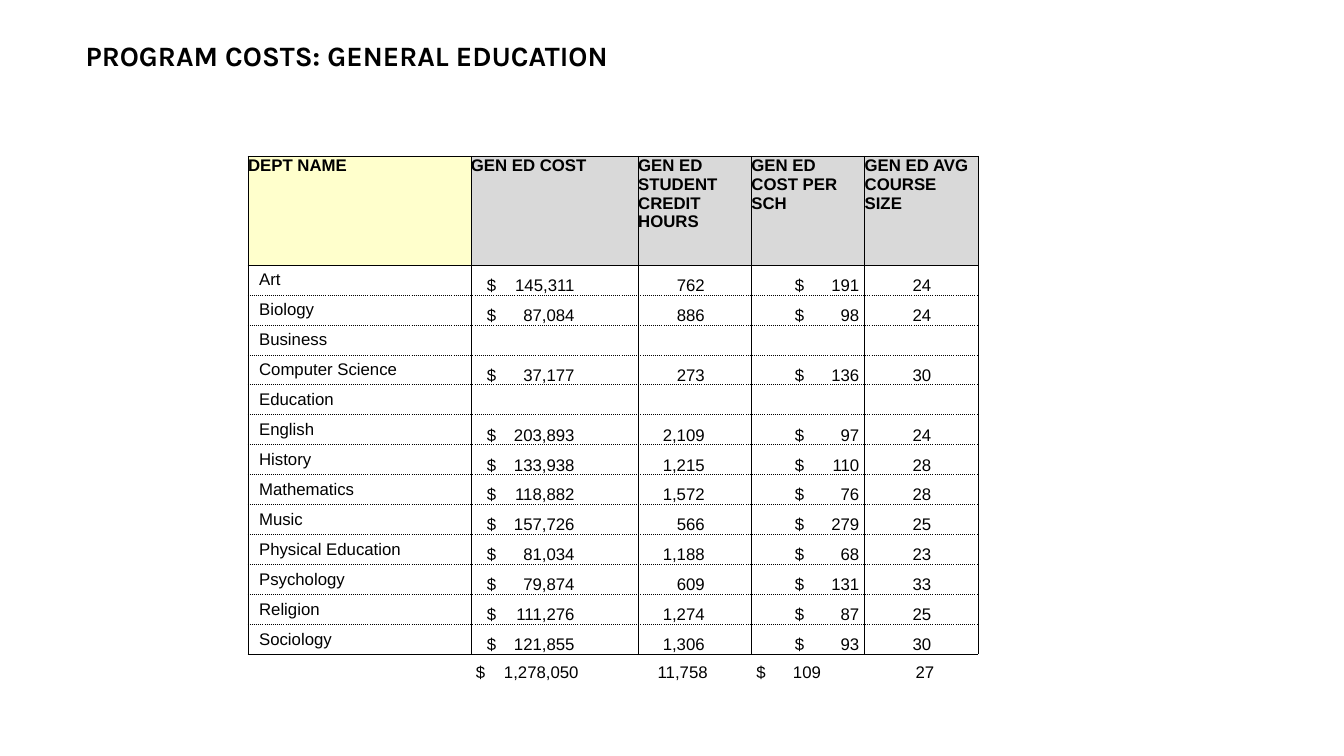
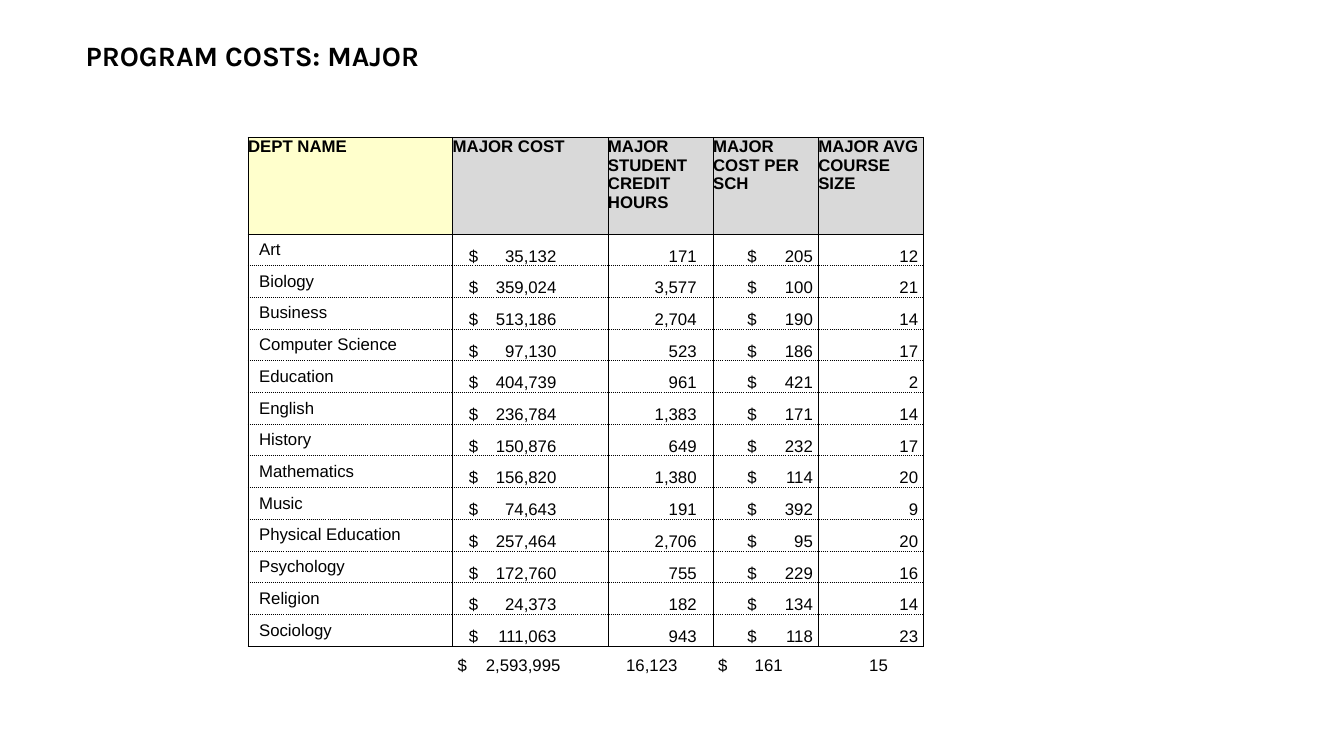
import dataclasses

import lxml.etree
import pptx
import pptx.dml.color
import pptx.enum.text
import pptx.oxml.ns
import pptx.util

Inches = pptx.util.Inches
qn = pptx.oxml.ns.qn
Align = pptx.enum.text.PP_ALIGN
Anchor = pptx.enum.text.MSO_ANCHOR


@dataclasses.dataclass(frozen=True)
class Theme:
    """Colours, fonts and sizes shared by the slides."""
    ink: str = "000000"
    key: str = "FFFFCC"
    head: str = "D9D9D9"
    title_font: str = "Karla"
    body_font: str = "Arial"
    title_size: int = 20
    body_size: int = 12
    line: float = 0.5


@dataclasses.dataclass(frozen=True)
class Spot:
    """Where a figure ends in its cell, and where its dollar sign starts."""
    end: float
    sign: float = None


@dataclasses.dataclass(frozen=True)
class Plan:
    """Measures of one table, in inches."""
    top: float
    width: float
    height: float
    name: float
    cost: float
    head: float
    foot: float
    spots: tuple
    sums: tuple


class Deck:
    """Holds the theme, the file and the current slide."""

    def __init__(self, theme):
        """Start a wide deck."""
        self.theme = theme
        self.file = pptx.Presentation()
        self.file.slide_width = Inches(13.33)
        self.file.slide_height = Inches(7.5)
        self.slide = None

    def page(self, title):
        """Add a slide with its title."""
        self.slide = self.file.slides.add_slide(self.file.slide_layouts[6])
        box = self.slide.shapes.add_textbox(
            Inches(0.75), Inches(0.33), Inches(7.55), Inches(1.92))
        box.text_frame.word_wrap = True
        self.run(box.text_frame.paragraphs[0], title, self.theme.title_font,
                 self.theme.title_size, True)

    def run(self, para, text, face, size, bold=False):
        """Add one styled run."""
        run = para.add_run()
        run.text = text
        run.font.name = face
        run.font.size = pptx.util.Pt(size)
        run.font.bold = bold
        run.font.color.rgb = pptx.dml.color.RGBColor.from_string(self.theme.ink)

    def edge(self, cell, **dashes):
        """Draw the named sides of a cell, and clear the others."""
        props = cell._tc.get_or_add_tcPr()
        for side in "LRTB":
            line = lxml.etree.SubElement(props, qn("a:ln" + side))
            dash = dashes.get(side)
            if not dash:
                line.set("w", "0")
                lxml.etree.SubElement(line, qn("a:noFill"))
                continue
            line.set("w", str(pptx.util.Pt(self.theme.line)))
            fill = lxml.etree.SubElement(line, qn("a:solidFill"))
            lxml.etree.SubElement(fill, qn("a:srgbClr"), val=self.theme.ink)
            lxml.etree.SubElement(line, qn("a:prstDash"), val=dash)

    def cell(self, cell, text, anchor=Anchor.TOP, left=0, right=0,
             bold=False, fill=None):
        """Set a cell's text, insets and fill; return its paragraph."""
        cell.margin_left, cell.margin_right = Inches(left), Inches(right)
        cell.margin_top = cell.margin_bottom = 0
        cell.vertical_anchor = anchor
        if fill:
            cell.fill.solid()
            cell.fill.fore_color.rgb = pptx.dml.color.RGBColor.from_string(fill)
        else:
            cell.fill.background()
        para = cell.text_frame.paragraphs[0]
        if text:
            self.run(para, text, self.theme.body_font, self.theme.body_size, bold)
        else:
            lxml.etree.SubElement(para._p, qn("a:endParaRPr"),
                                  sz=str(self.theme.body_size * 100))
        return para

    def figure(self, cell, value, spot, width):
        """Set a number, with a dollar sign if its spot has one."""
        if value is None:
            self.cell(cell, "")
        elif spot.sign is None:
            para = self.cell(cell, f"{value:,}", Anchor.BOTTOM,
                             right=width - spot.end)
            para.alignment = Align.RIGHT
        else:
            para = self.cell(cell, f"$\t{value:,}", Anchor.BOTTOM, left=spot.sign)
            tabs = lxml.etree.SubElement(para._p.get_or_add_pPr(), qn("a:tabLst"))
            lxml.etree.SubElement(tabs, qn("a:tab"), algn="r",
                                  pos=str(Inches(spot.end - spot.sign)))

    def table(self, plan, heads, rows, sums):
        """Add a cost table with a total row."""
        count = len(rows)
        rest = (plan.width - plan.name - plan.cost) / 3
        wide = [plan.name, plan.cost] + [rest] * 3
        step = (plan.height - plan.head - plan.foot) / count
        high = [plan.head] + [step] * count + [plan.foot]
        grid = self.slide.shapes.add_table(
            count + 2, len(wide), Inches(2.46), Inches(plan.top),
            Inches(plan.width), Inches(plan.height)).table
        grid.first_row = grid.horz_banding = False
        for col, size in zip(grid.columns, wide):
            col.width = Inches(size)
        for row, size in zip(grid.rows, high):
            row.height = Inches(size)

        for col, text in enumerate(heads):
            cell = grid.cell(0, col)
            self.edge(cell, L="solid", R="solid", T="solid", B="solid")
            self.cell(cell, text, bold=True,
                      fill=self.theme.head if col else self.theme.key)
        for row, (name, *values) in enumerate(rows + [("", *sums)], 1):
            last = row > count
            for col in range(len(wide)):
                if last:
                    self.edge(grid.cell(row, col), T="solid")
                else:
                    self.edge(grid.cell(row, col), L="solid", R="solid",
                              T="solid" if row == 1 else "sysDot",
                              B="solid" if row == count else "sysDot")
            self.cell(grid.cell(row, 0), name, Anchor.MIDDLE, left=0.11)
            spots = plan.sums if last else plan.spots
            for col, (value, spot) in enumerate(zip(values, spots), 1):
                self.figure(grid.cell(row, col), value, spot, wide[col])


def heads(kind):
    """Name the columns for one kind of course."""
    tails = ("COST", "STUDENT CREDIT HOURS", "COST PER SCH", "AVG COURSE SIZE")
    return ["DEPT NAME"] + [f"{kind} {tail}" for tail in tails]


DEPTS = ("Art", "Biology", "Business", "Computer Science", "Education",
         "English", "History", "Mathematics", "Music", "Physical Education",
         "Psychology", "Religion", "Sociology")
NONE = (None,) * 4
GENERAL = (
    (145311, 762, 191, 24), (87084, 886, 98, 24), NONE,
    (37177, 273, 136, 30), NONE, (203893, 2109, 97, 24),
    (133938, 1215, 110, 28), (118882, 1572, 76, 28), (157726, 566, 279, 25),
    (81034, 1188, 68, 23), (79874, 609, 131, 33), (111276, 1274, 87, 25),
    (121855, 1306, 93, 30))
MAJOR = (
    (35132, 171, 205, 12), (359024, 3577, 100, 21), (513186, 2704, 190, 14),
    (97130, 523, 186, 17), (404739, 961, 421, 2), (236784, 1383, 171, 14),
    (150876, 649, 232, 17), (156820, 1380, 114, 20), (74643, 191, 392, 9),
    (257464, 2706, 95, 20), (172760, 755, 229, 16), (24373, 182, 134, 14),
    (111063, 943, 118, 23))
SUMS = (Spot(1.07, 0.05), Spot(0.69), Spot(0.69, 0.05), Spot(0.69))
PAGES = (
    ("GENERAL EDUCATION", "GEN ED", GENERAL, (1278050, 11758, 109, 27),
     Plan(1.55, 7.24, 5.22, 2.21, 1.66, 1.08, 0.28,
          (Spot(1.03, 0.16), Spot(0.66), Spot(1.07, 0.43), Spot(0.66)), SUMS)),
    ("MAJOR", "MAJOR", MAJOR, (2593995, 16123, 161, 15),
     Plan(1.36, 6.7, 5.34, 2.03, 1.54, 0.96, 0.29,
          (Spot(1.03, 0.16), Spot(0.88), Spot(0.99, 0.34), Spot(0.99)), SUMS)),
)

deck = Deck(Theme())
for topic, kind, data, sums, plan in PAGES:
    deck.page(f"PROGRAM COSTS: {topic}")
    rows = [(dept, *values) for dept, values in zip(DEPTS, data)]
    deck.table(plan, heads(kind), rows, sums)
deck.file.save("out.pptx")
